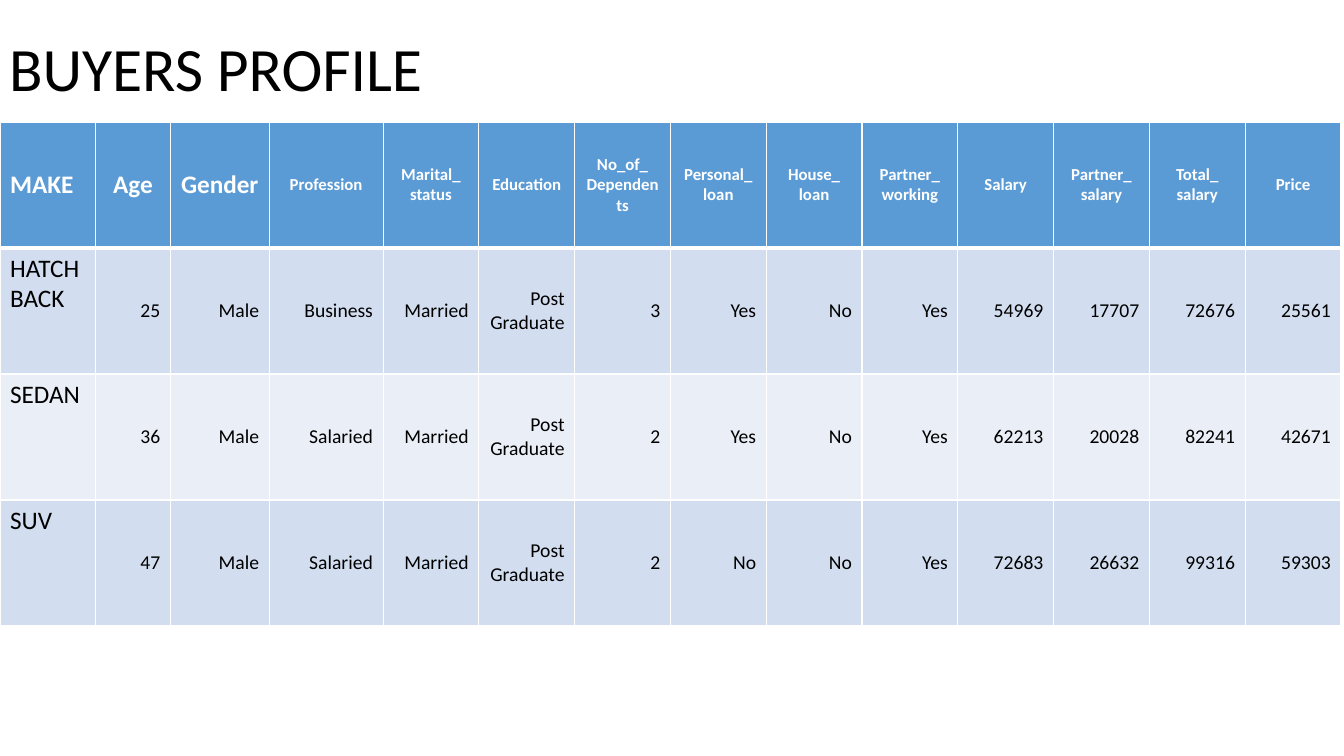
from lxml import etree
from pptx import Presentation
from pptx import util as u
from pptx.dml.color import RGBColor
from pptx.enum import text
from pptx.oxml import ns

HUES = {"head": "5B9BD5", "odd": "D2DEEF", "even": "EAEFF7",
        "white": "FFFFFF", "black": "000000"}
HEADS = ["MAKE", "Age", "Gender", "Profession", "Marital_\nstatus", "Education",
         "No_of_\nDependents", "Personal_\nloan", "House_\nloan",
         "Partner_\nworking", "Salary", "Partner_\nsalary", "Total_\nsalary", "Price"]
BUYERS = [
    ["HATCHBACK", "25", "Male", "Business", "Married", "Post Graduate", "3",
     "Yes", "No", "Yes", "54969", "17707", "72676", "25561"],
    ["SEDAN", "36", "Male", "Salaried", "Married", "Post Graduate", "2",
     "Yes", "No", "Yes", "62213", "20028", "82241", "42671"],
    ["SUV", "47", "Male", "Salaried", "Married", "Post Graduate", "2",
     "No", "No", "Yes", "72683", "26632", "99316", "59303"],
]
WIDTHS = [0.95, 0.74, 0.98, 1.13] + [0.95] * 10
ROW = 1.25


def style(para, size, hue, align, bold=False):
    para.alignment = align
    para.font.name = "Calibri"
    para.font.size = u.Pt(size)
    para.font.bold = bold
    para.font.color.rgb = RGBColor.from_string(HUES[hue])


def border(cell, side, points):
    """Add a white line on one side; call in the order L, R, T, B before the fill."""
    line = etree.SubElement(cell._tc.get_or_add_tcPr(), ns.qn(f"a:ln{side}"),
                            w=str(u.Pt(points)))
    fill = etree.SubElement(line, ns.qn("a:solidFill"))
    etree.SubElement(fill, ns.qn("a:srgbClr"), val=HUES["white"])


deck = Presentation()
deck.slide_width, deck.slide_height = u.Inches(13.33), u.Inches(7.5)
slide = deck.slides.add_slide(deck.slide_layouts[5])

title = slide.shapes.title
title.left, title.top = u.Inches(-0.01), u.Inches(0.31)
title.width, title.height = u.Inches(11.5), u.Inches(0.8)
title.text_frame.text = "BUYERS PROFILE"
title.text_frame.vertical_anchor = text.MSO_ANCHOR.MIDDLE
para = title.text_frame.paragraphs[0]
style(para, 44, "black", text.PP_ALIGN.LEFT)
para.line_spacing = 0.9

rows = [HEADS] + BUYERS
table = slide.shapes.add_table(
    len(rows), len(HEADS), u.Inches(0), u.Inches(1.21),
    u.Inches(sum(WIDTHS)), u.Inches(ROW * len(rows))).table
for col, width in zip(table.columns, WIDTHS):
    col.width = u.Inches(width)

for r, row in enumerate(rows):
    table.rows[r].height = u.Inches(ROW)
    head = r == 0
    shade = "head" if head else "odd" if r % 2 else "even"
    for c, value in enumerate(row):
        cell = table.cell(r, c)
        for side in "LRTB":
            thick = (head and side == "B") or (r == 1 and side == "T")
            border(cell, side, 3 if thick else 1)
        cell.fill.solid()
        cell.fill.fore_color.rgb = RGBColor.from_string(HUES[shade])
        make = c == 0
        top = make and not head
        cell.vertical_anchor = text.MSO_ANCHOR.TOP if top else text.MSO_ANCHOR.MIDDLE
        if make:
            align = text.PP_ALIGN.LEFT
        else:
            align = text.PP_ALIGN.CENTER if head else text.PP_ALIGN.RIGHT
        if head:
            size = 18 if c < 3 else 12
        else:
            size = 18 if make else 14
        cell.text = value
        for para in cell.text_frame.paragraphs:
            style(para, size, "white" if head else "black", align, head)

deck.save("out.pptx")
